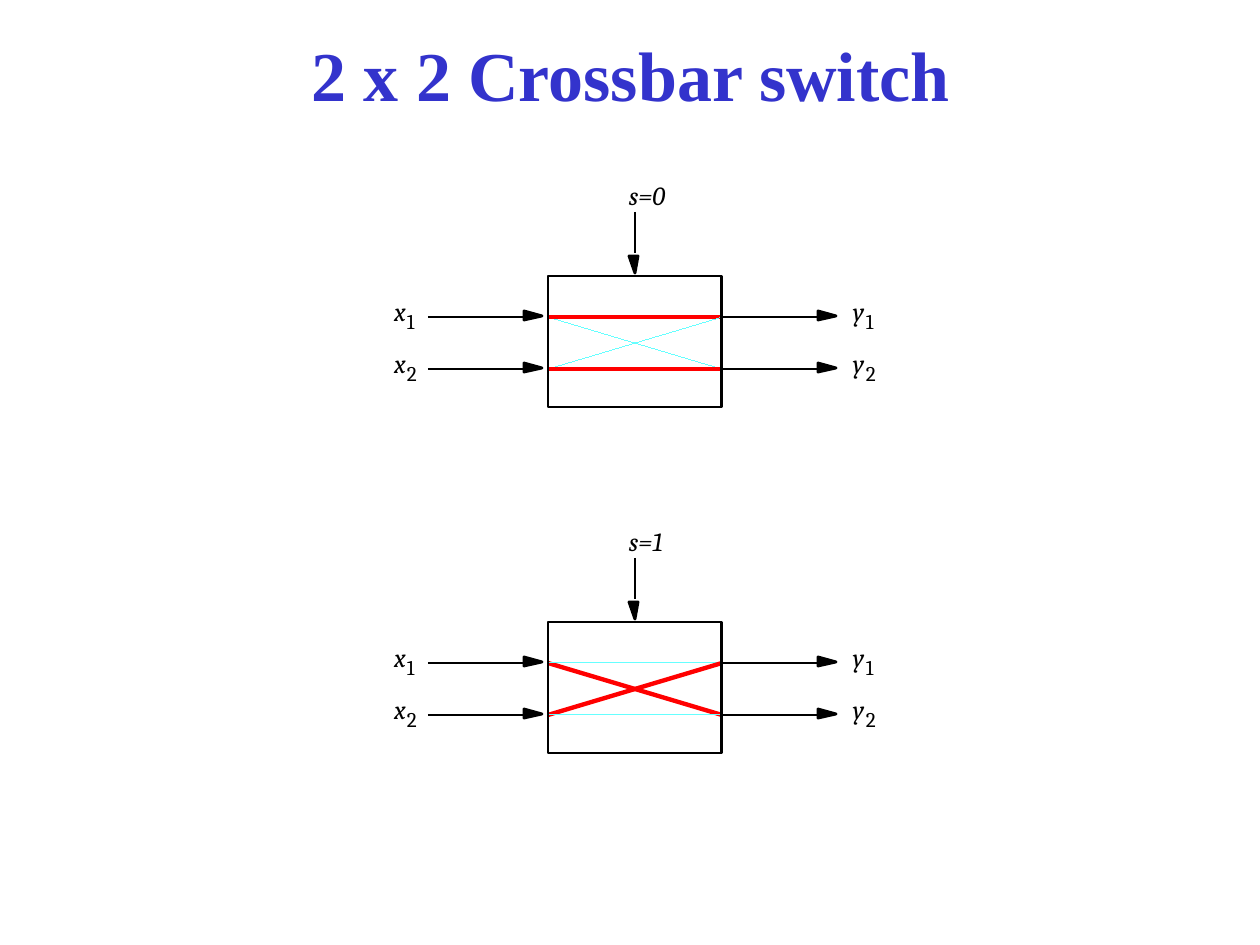
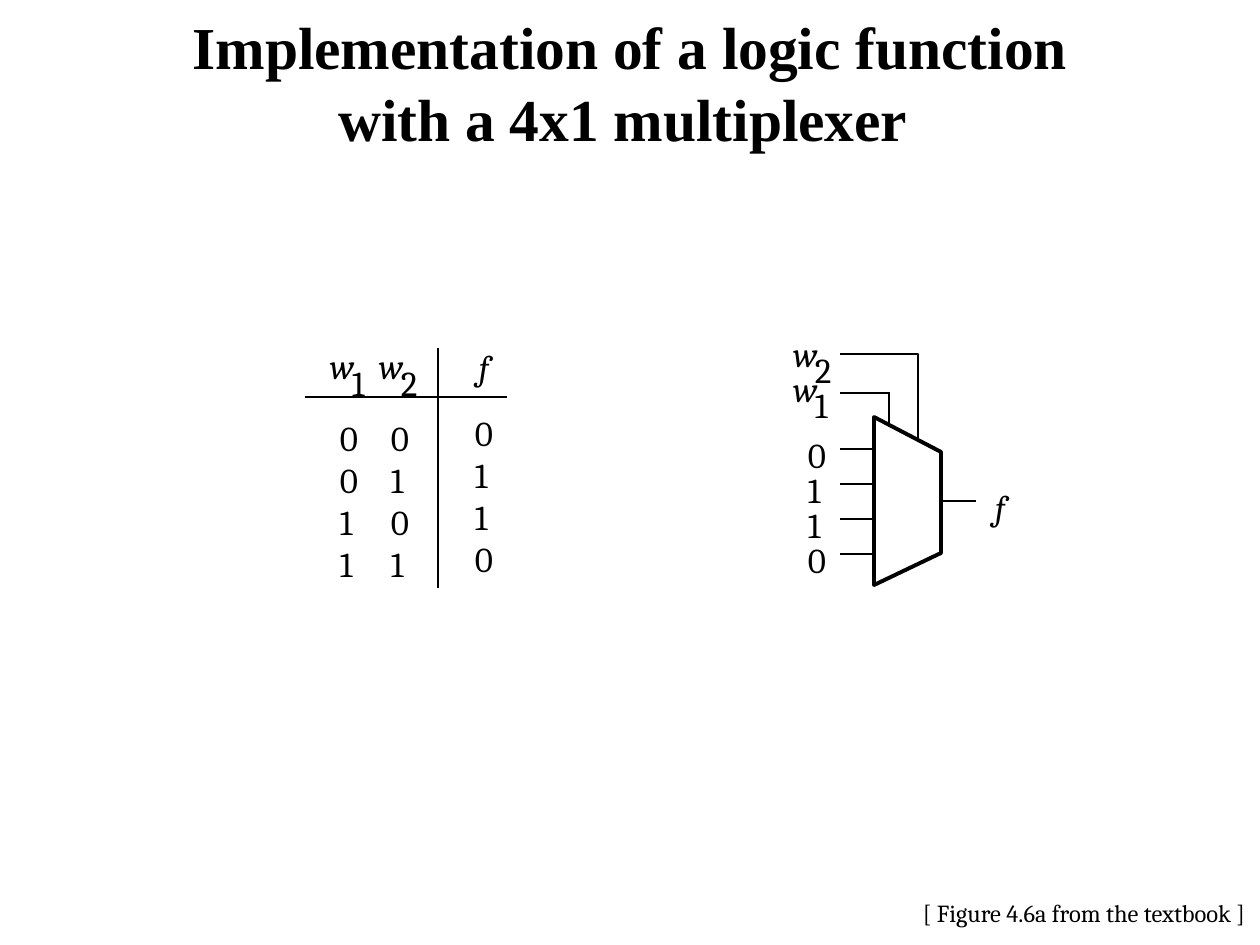
from lxml.etree import SubElement
from pptx import Presentation
from pptx.dml.color import RGBColor
from pptx.enum.shapes import MSO_CONNECTOR as Connector, MSO_SHAPE as Preset
from pptx.enum.text import MSO_ANCHOR as Anchor, MSO_AUTO_SIZE as AutoSize, PP_ALIGN as Align
from pptx.oxml.ns import qn
from pptx.util import Inches, Pt

SCALE = Inches(1) / 126
COLORS = {"ink": "000000", "title": "3333CC", "active": "FF0000", "idle": "66FFFF"}
BODY_FONT, TITLE_FONT = "Cambria", "Times New Roman"


def px(*lengths):
    return [round(length * SCALE) for length in lengths]


def rgb(name):
    return RGBColor.from_string(COLORS[name])


class Drawing:
    def __init__(self, deck, line_width):
        self.page = deck.slides.add_slide(deck.slide_layouts[5])
        self.shapes = self.page.shapes
        self.line_width = line_width

    def style_text(self, frame, text, size, color="ink", font=BODY_FONT, **formats):
        frame.text = text
        for para in frame.paragraphs:
            for span in para.runs:
                values = {"name": font, "size": Pt(size), **formats}
                for key, value in values.items():
                    setattr(span.font, key, value)
                span.font.color.rgb = rgb(color)

    def title(self, text, box, size, color, spacing=None):
        holder = self.shapes.title
        for key, value in zip(("left", "top", "width", "height"), px(*box)):
            setattr(holder, key, value)
        frame = holder.text_frame
        self.style_text(frame, text, size, color, TITLE_FONT, bold=True)
        for key, value in {"auto_size": AutoSize.NONE, "vertical_anchor": Anchor.MIDDLE}.items():
            setattr(frame, key, value)
        frame.paragraphs[0].alignment = Align.CENTER
        if spacing:
            frame.paragraphs[0].line_spacing = Pt(spacing)

    def text(self, text, box, size, italic=False, insets=(0, 0)):
        frame = self.shapes.add_textbox(*px(*box)).text_frame
        across, down = px(*insets)
        formats = {"word_wrap": True, "margin_left": across, "margin_right": across,
                   "margin_top": down, "margin_bottom": down}
        for key, value in formats.items():
            setattr(frame, key, value)
        self.style_text(frame, text, size, italic=italic)

    def symbol(self, letter, index, spot, shift, size, index_size):
        left, top = spot
        self.text(letter, (left, top, 33, size * 2), size, italic=True)
        self.text(index, (left + shift[0], top + shift[1], 26, index_size * 2), index_size)

    def line(self, start, end, color="ink", width=None):
        wire = self.shapes.add_connector(Connector.STRAIGHT, *px(*start, *end))
        wire.line.color.rgb = rgb(color)
        properties = wire._element.spPr
        points = self.line_width if width is None else width
        properties.find(qn("a:ln")).set("w", str(Pt(points)))
        SubElement(properties, qn("a:effectLst"))

    def outline(self, shape, width=None, filled=False):
        shape.shadow.inherit = False
        if filled:
            shape.fill.solid()
            shape.fill.fore_color.rgb = rgb("ink")
        else:
            shape.fill.background()
        shape.line.color.rgb = rgb("ink")
        shape.line.width = Pt(width or self.line_width)

    def rectangle(self, box):
        self.outline(self.shapes.add_shape(Preset.RECTANGLE, *px(*box)))

    def polygon(self, points, close=True, **look):
        builder = self.shapes.build_freeform(*points[0], scale=SCALE)
        builder.add_line_segments(points[1:], close=close)
        self.outline(builder.convert_to_shape(), **look)

    def arrow_right(self, left, y):
        neck = left + 96
        self.polygon([(neck, y + 3), (neck + 18, y - 1), (neck, y - 6), (neck, y - 1)], filled=True)
        self.line((left, y), (neck, y))

    def arrow_down(self, x, top):
        neck = top + 44
        self.polygon([(x - 6, neck), (x, neck + 17), (x + 3, neck), (x, neck)], filled=True)
        self.line((x, top), (x, top + 41))

    def switch(self, top, state, crossed):
        left, right = 548, 722
        upper, lower = rows = top + 41, top + 93
        wires = [(lower, upper, crossed), (upper, upper, not crossed),
                 (upper, lower, crossed), (lower, lower, not crossed)]
        for end, start, active in wires:
            look = ("active", 2.5) if active else ("idle", 0)
            self.line((left, start), (right, end), *look)
        self.rectangle((left, top, right - left, 131))
        for index, y in enumerate(rows, 1):
            for letter, x in (("x", 394), ("y", 853)):
                self.symbol(letter, str(index), (x, y - 22), (13, 14), 15, 12)
            for x in (428, right):
                self.arrow_right(x, y)
        self.arrow_down(635, top - 64)
        self.text(state, (629, top - 97, 49, 32), 15, italic=True)

    def digits(self, values, left, top, step):
        for row, value in enumerate(values):
            self.text(value, (left, top + row * step, 26, 43), 20)

    def truth_table(self):
        for index, left in (("1", 330), ("2", 379)):
            self.symbol("w", index, (left, 345), (22, 17), 20, 20)
        self.text("f", (479, 345, 19, 43), 20, italic=True)
        for values, left, top in (("0011", 340, 416), ("0101", 391, 416), ("0110", 475, 411)):
            self.digits(values, left, top, 42)
        self.line((438, 588), (438, 348))
        self.line((507, 397), (305, 397))

    def multiplexer(self):
        for index, top in (("2", 333), ("1", 368)):
            self.symbol("w", index, (793, top), (22, 16), 20, 20)
        self.polygon([(840, 354), (918, 354), (918, 442)], close=False)
        self.line((840, 393), (889, 393))
        self.line((889, 392), (889, 423))
        self.digits("0110", 808, 433, 35)
        for row in range(4):
            y = 449 + row * 35
            self.line((840, y), (872, y))
        self.polygon([(941, 553), (941, 452), (874, 417), (874, 585)], width=2.25)
        self.line((976, 501), (941, 501))
        self.text("f", (995, 485, 19, 43), 20, italic=True)


deck = Presentation()
deck.slide_width, deck.slide_height = Inches(10), Inches(7.5)

crossbar = Drawing(deck, 1.63)
crossbar.title("2 x 2 Crossbar switch", (32, 32, 1197, 84), 40, "title")
crossbar.switch(276, "s=0", crossed=False)
crossbar.switch(622, "s=1", crossed=True)

logic = Drawing(deck, 1.5)
logic.title("Implementation of a logic function\vwith a 4x1 multiplexer ",
            (0, 3, 1260, 157), 34, "ink", spacing=41)
logic.text("[ Figure 4.6a from the textbook ]", (910, 892, 350, 43), 14, insets=(13, 6))
logic.truth_table()
logic.multiplexer()

deck.save("out.pptx")
